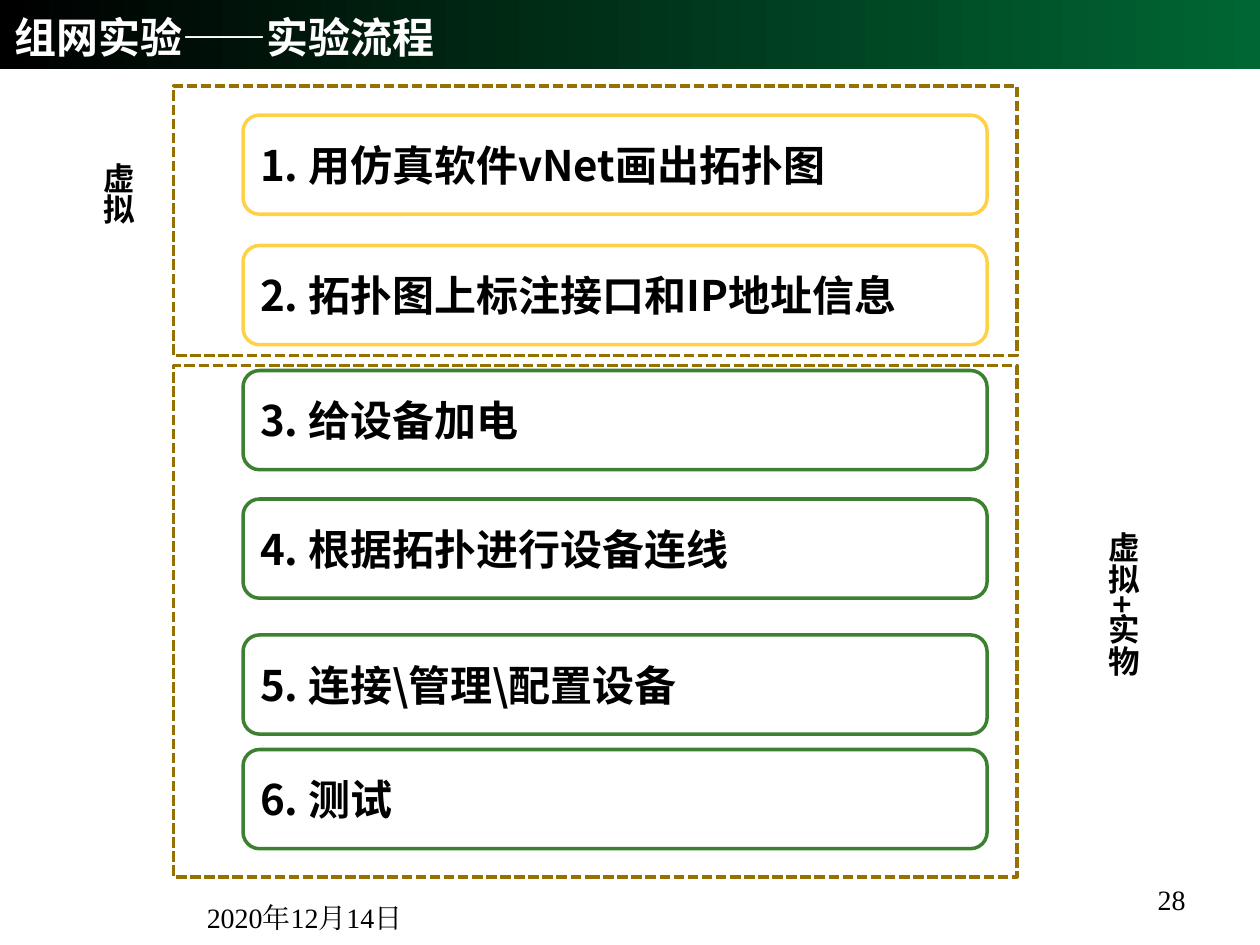
import dataclasses

import pptx
import pptx.dml.color
import pptx.enum.dml
import pptx.enum.shapes
import pptx.enum.text
import pptx.oxml.ns
import pptx.util
from lxml import etree

Cm = pptx.util.Cm
Pt = pptx.util.Pt
RGB = pptx.dml.color.RGBColor.from_string
Align = pptx.enum.text.PP_ALIGN
Anchor = pptx.enum.text.MSO_ANCHOR
Shape = pptx.enum.shapes.MSO_SHAPE


@dataclasses.dataclass(frozen=True)
class Theme:
    """Colours, fonts and type sizes of the slide."""
    white: str = "FFFFFF"
    black: str = "000000"
    green: str = "006633"
    virtual: str = "FFD147"
    physical: str = "3B812F"
    frame: str = "977100"
    heading_font: str = "Noto Sans CJK SC"
    label_font: str = "Noto Sans CJK JP"
    footer_font: str = "Times New Roman"
    heading_size: int = 24
    label_size: int = 18
    footer_size: int = 16
    line_width: int = 2


THEME = Theme()


def apply(target, values):
    """Set every attribute in values on target."""
    for name, value in values.items():
        setattr(target, name, value)


def write(shape, wording, font, size, color=THEME.black, bold=True,
          align=Align.LEFT, **frame_format):
    """Fill a shape with one formatted paragraph."""
    frame = shape.text_frame
    apply(frame, {"word_wrap": True, "vertical_anchor": Anchor.MIDDLE} | frame_format)
    paragraph = frame.paragraphs[0]
    paragraph.alignment = align
    run = paragraph.add_run()
    run.text = wording
    apply(run.font, {"size": Pt(size), "bold": bold, "name": font})
    run.font.color.rgb = RGB(color)
    east_asian = etree.Element(pptx.oxml.ns.qn("a:ea"), typeface=font)
    run.font._element.find(pptx.oxml.ns.qn("a:latin")).addnext(east_asian)


def outline(shape, color, **line_format):
    """Give a shape a flat coloured outline."""
    shape.shadow.inherit = False
    shape.line.color.rgb = RGB(color)
    apply(shape.line, {"width": Pt(THEME.line_width)} | line_format)


def add_header(slide, width, height, wording):
    """Place the gradient band and the title on it."""
    band = slide.shapes.add_shape(Shape.RECTANGLE, 0, 0, width, height)
    band.shadow.inherit = False
    band.line.fill.background()
    band.fill.gradient()
    band.fill.gradient_angle = 0
    for stop, color in zip(band.fill.gradient_stops, (THEME.black, THEME.green)):
        stop.color.rgb = RGB(color)
    title = slide.shapes.title
    title.element.addprevious(band.element)
    apply(title, {"left": Cm(0.03), "top": Cm(0.23),
                  "width": Cm(17.27), "height": Cm(1)})
    write(title, wording, THEME.heading_font, THEME.heading_size, THEME.white)


def add_stage(slide, left, top, width, height, color, steps):
    """Place the steps of one stage and the dashed frame around them."""
    for offset, wording in steps:
        step = slide.shapes.add_shape(Shape.ROUNDED_RECTANGLE, left + Cm(1.4),
                                      top + Cm(offset), Cm(15), Cm(2))
        step.fill.solid()
        step.fill.fore_color.rgb = RGB(THEME.white)
        outline(step, color)
        write(step, wording, THEME.heading_font, THEME.heading_size)
    border = slide.shapes.add_shape(Shape.RECTANGLE, left, top, width, height)
    border.fill.background()
    outline(border, THEME.frame,
            dash_style=pptx.enum.dml.MSO_LINE.SQUARE_DOT)
    dash = border.line._ln.find(pptx.oxml.ns.qn("a:prstDash"))
    dash.set("val", "sysDash")


def add_side_label(slide, left, top, width, height, wording):
    """Place a vertical label beside a stage."""
    label = slide.shapes.add_textbox(left, top, width, height)
    write(label, wording, THEME.label_font, THEME.label_size, word_wrap=False,
          vertical_anchor=Anchor.TOP,
          auto_size=pptx.enum.text.MSO_AUTO_SIZE.SHAPE_TO_FIT_TEXT)
    label.text_frame._txBody.bodyPr.set("vert", "eaVert")


def add_footer(slide, left, top, width, height, wording, align):
    """Place one footer text."""
    footer = slide.shapes.add_textbox(left, top, width, height)
    write(footer, wording, THEME.footer_font, THEME.footer_size, bold=False,
          align=align, vertical_anchor=Anchor.BOTTOM)


def main():
    """Build and save the slide."""
    deck = pptx.Presentation()
    apply(deck, {"slide_width": Cm(25.4), "slide_height": Cm(19.05)})
    slide = deck.slides.add_slide(deck.slide_layouts.get_by_name("Title Only"))
    add_header(slide, deck.slide_width, Cm(1.4), "组网实验——实验流程")
    add_footer(slide, Cm(3.92), Cm(17.68), Cm(5.92), Cm(1.27),
               "2020年12月14日", Align.LEFT)
    add_footer(slide, Cm(16.1), Cm(17.32), Cm(8.05), Cm(1.27), "28", Align.RIGHT)
    add_stage(slide, Cm(3.5), Cm(1.73), Cm(17), Cm(5.44), THEME.virtual, (
        (0.59, "1. 用仿真软件vNet画出拓扑图"),
        (3.22, "2. 拓扑图上标注接口和IP地址信息"),
    ))
    add_stage(slide, Cm(3.5), Cm(7.37), Cm(17), Cm(10.31), THEME.physical, (
        (0.1, "3. 给设备加电"),
        (2.69, "4. 根据拓扑进行设备连线"),
        (5.43, "5. 连接\\管理\\配置设备"),
        (7.74, "6. 测试"),
    ))
    add_side_label(slide, Cm(1.62), Cm(3.03), Cm(1.27), Cm(1.7), "虚拟")
    add_side_label(slide, Cm(21.87), Cm(10.48), Cm(1.27), Cm(3.53), "虚拟+实物")
    deck.save("out.pptx")


if __name__ == "__main__":
    main()
